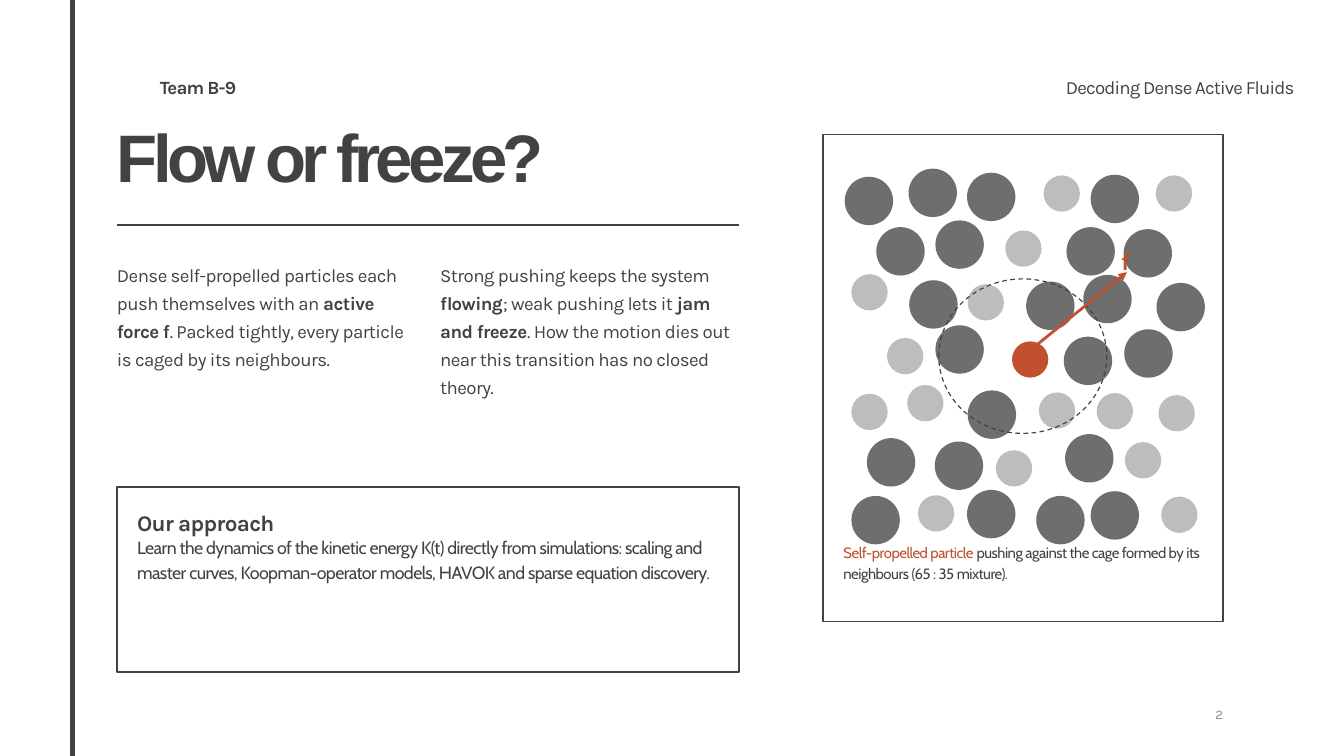
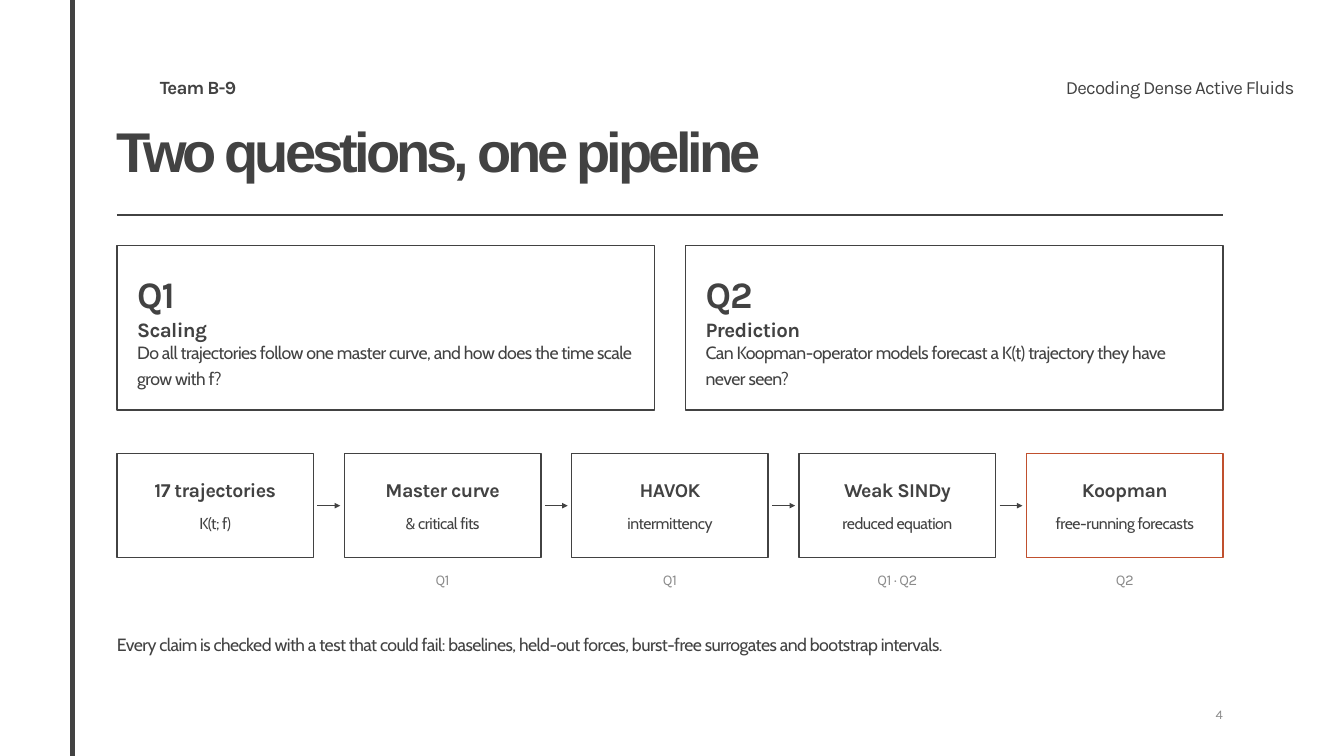
from dataclasses import dataclass, replace
from typing import Any, NamedTuple

from pptx import Presentation
from pptx.dml.color import RGBColor
from pptx.enum.dml import MSO_LINE
from pptx.enum.shapes import MSO_CONNECTOR, MSO_SHAPE
from pptx.enum.text import MSO_ANCHOR, MSO_AUTO_SIZE, PP_ALIGN
from pptx.oxml.ns import qn
from pptx.util import Emu, Inches, Pt

INK = RGBColor(0x42, 0x42, 0x42)
MUTED = RGBColor(0x8A, 0x8A, 0x8A)
ACCENT = RGBColor(0xC0, 0x50, 0x2E)
DARK_GRAIN = RGBColor(0x6E, 0x6E, 0x6E)
PALE_GRAIN = RGBColor(0xBD, 0xBD, 0xBD)

LEFT, CENTER, RIGHT = PP_ALIGN.LEFT, PP_ALIGN.CENTER, PP_ALIGN.RIGHT
RECT, OVAL = MSO_SHAPE.RECTANGLE, MSO_SHAPE.OVAL
STRAIGHT, DASH = MSO_CONNECTOR.STRAIGHT, MSO_LINE.DASH
FRAME = {
    "word_wrap": True,
    "auto_size": MSO_AUTO_SIZE.SHAPE_TO_FIT_TEXT,
    "vertical_anchor": MSO_ANCHOR.TOP,
    "margin_left": 0,
    "margin_right": 0,
    "margin_top": 0,
    "margin_bottom": 0,
}

SLIDE_W, SLIDE_H = Inches(20), Inches(11.25)
COLS, ROWS = 20, 11.25
COL, ROW = SLIDE_W / COLS, SLIDE_H / ROWS
START, END = 1.74, 18.2
GAP = 0.46
PAD = 0.3


class Box(NamedTuple):
    x: float
    y: float
    w: float
    h: float

    def emu(self) -> tuple[Emu, Emu, Emu, Emu]:
        return (Emu(round(self.x * COL)), Emu(round(self.y * ROW)),
                Emu(round(self.w * COL)), Emu(round(self.h * ROW)))


@dataclass(frozen=True)
class Style:
    size: float
    name: str = "Karla"
    color: RGBColor = INK
    bold: bool = False
    align: Any = LEFT
    leading: Any = 1.25
    tracking: float = -0.03


class Run(NamedTuple):
    text: str
    style: Style


class Question(NamedTuple):
    label: str
    topic: str
    text: str


class Stage(NamedTuple):
    name: str
    detail: str
    answers: str = ""
    color: RGBColor = INK


TITLE = Style(72, "Arial", bold=True, leading=0.9, tracking=-0.07)
HEADER = Style(20, leading=Pt(28), tracking=-0.045)
TEAM = replace(HEADER, bold=True)
TOPIC = replace(HEADER, align=RIGHT)
PAGE = Style(14, color=MUTED, align=RIGHT)
BODY = Style(20)
STRONG = replace(BODY, bold=True)
APPROACH = Style(24, bold=True)
CARD_TEXT = Style(19, "Cabin", leading=1.2)
CLOSING = replace(CARD_TEXT, leading=1.25)
CAPTION = Style(16, "Cabin", leading=1.15)
FORCE = Style(26, color=ACCENT, bold=True)
QUESTION = Style(40, bold=True)
SUBJECT = Style(22, bold=True)
STAGE = Style(21, bold=True, align=CENTER)
DETAIL = Style(17, "Cabin", align=CENTER)
ANSWERS = Style(16, color=MUTED, align=CENTER)

LARGE, SMALL = 0.72, 0.54
LARGE_GRAINS = [
    (12.57, 2.63), (13.52, 2.51), (14.39, 2.57), (16.23, 2.6),
    (13.04, 3.38), (13.92, 3.28), (15.87, 3.38), (16.72, 3.41),
    (13.53, 4.17), (15.27, 4.19), (16.12, 4.09), (17.21, 4.21),
    (13.92, 4.84), (15.83, 5.01), (16.73, 4.9), (14.4, 5.81),
    (12.9, 6.52), (13.91, 6.57), (15.85, 6.46),
    (12.67, 7.38), (14.39, 7.29), (15.42, 7.38), (16.23, 7.31),
]
SMALL_GRAINS = [
    (15.53, 2.61), (17.2, 2.61), (14.96, 3.43), (12.67, 4.08),
    (14.4, 4.23), (13.2, 5.03), (12.67, 5.86), (13.5, 5.73),
    (15.46, 5.84), (16.32, 5.85), (17.24, 5.88), (14.82, 6.7),
    (16.74, 6.58), (13.66, 7.37), (17.28, 7.39),
]
PUSHED_GRAIN = [(15.06, 5.08)]

QUESTIONS = [
    Question("Q1", "Scaling", "Do all trajectories follow one master curve, "
             "and how does the time scale grow with f?"),
    Question("Q2", "Prediction", "Can Koopman-operator models forecast a K(t) "
             "trajectory they have never seen?"),
]
STAGES = [
    Stage("17 trajectories", "K(t; f)"),
    Stage("Master curve", "& critical fits", "Q1"),
    Stage("HAVOK", "intermittency", "Q1"),
    Stage("Weak SINDy", "reduced equation", "Q1 · Q2"),
    Stage("Koopman", "free-running forecasts", "Q2", ACCENT),
]


def put(target: Any, values: dict[str, Any]) -> None:
    for key, value in values.items():
        setattr(target, key, value)


def write(sp: Any, *runs: Run) -> None:
    tf = sp.text_frame
    put(tf, FRAME)
    p = tf.paragraphs[0]
    put(p, {"alignment": runs[0].style.align, "line_spacing": runs[0].style.leading})
    for text, style in runs:
        r = p.add_run()
        r.text = text
        put(r.font, {"name": style.name, "size": Pt(style.size), "bold": style.bold})
        r.font.color.rgb = style.color
        r.font._element.set("spc", str(round(style.size * style.tracking * 100)))


def add_text(s: Any, box: Box, *runs: Run) -> None:
    write(s.shapes.add_textbox(*box.emu()), *runs)


def outline(s: Any, kind: Any, box: Box, color: RGBColor = INK,
            width: float = 1.5, dash: Any = None) -> None:
    sp = s.shapes.add_shape(kind, *box.emu())
    sp.shadow.inherit = False
    sp.fill.background()
    sp.line.color.rgb = color
    put(sp.line, {"width": Pt(width), "dash_style": dash})


def add_line(s: Any, x1: float, y1: float, x2: float, y2: float,
             color: RGBColor = INK, width: float = 1.5, arrow: bool = False) -> None:
    begin, end = Box(x1, y1, 0, 0).emu(), Box(x2, y2, 0, 0).emu()
    sp = s.shapes.add_connector(STRAIGHT, *begin[:2], *end[:2])
    sp.line.color.rgb = color
    sp.line.width = Pt(width)
    spPr = sp._element.spPr
    if arrow:
        tail = spPr.find(qn("a:ln")).makeelement(qn("a:tailEnd"), {"type": "triangle"})
        spPr.find(qn("a:ln")).append(tail)
    spPr.append(spPr.makeelement(qn("a:effectLst"), {}))


def add_grains(s: Any, places: list[tuple[float, float]], size: float,
               color: RGBColor) -> None:
    for x, y in places:
        sp = s.shapes.add_shape(OVAL, *Box(x, y, size, size).emu())
        sp.shadow.inherit = False
        sp.fill.solid()
        sp.fill.fore_color.rgb = color
        sp.line.fill.background()


def columns(count: int) -> tuple[float, list[float]]:
    width = (END - START - GAP * (count - 1)) / count
    return width, [START + i * (width + GAP) for i in range(count)]


def add_slide(prs: Any, title: str, size: float, page: str,
              rule_y: float, rule_end: float) -> Any:
    s = prs.slides.add_slide(prs.slide_layouts[5])
    sp = s.shapes.title
    put(sp, dict(zip(("left", "top", "width", "height"),
                     Box(START, 1.85, 16.4, 1.2).emu())))
    write(sp, Run(title, replace(TITLE, size=size)))
    add_line(s, 1.08, 0, 1.08, ROWS, width=6)
    add_text(s, Box(2.38, 1.07, 3.95, 0.38), Run("Team B-9", TEAM))
    add_text(s, Box(14.43, 1.07, 4.83, 0.38),
             Run("Decoding Dense Active Fluids", TOPIC))
    add_text(s, Box(17.2, 10.45, 1, 0.35), Run(page, PAGE))
    add_line(s, START, rule_y, rule_end, rule_y)
    return s


def build_flow(prs: Any) -> None:
    s = add_slide(prs, "Flow or freeze?", 72, "2", 3.35, 11)
    add_text(s, Box(START, 3.85, 4.4, 3.6),
             Run("Dense self-propelled particles each push themselves with an ", BODY),
             Run("active force f", STRONG),
             Run(". Packed tightly, every particle is caged by its neighbours.", BODY))
    add_text(s, Box(6.55, 3.85, 4.45, 3.6),
             Run("Strong pushing keeps the system ", BODY),
             Run("flowing", STRONG),
             Run("; weak pushing lets it ", BODY),
             Run("jam and freeze", STRONG),
             Run(". How the motion dies out near this transition "
                 "has no closed theory.", BODY))

    card = Box(START, 7.25, 9.26, 2.75)
    outline(s, RECT, card)
    inner = card.w - 2 * PAD
    add_text(s, Box(START + PAD, card.y + 0.22, inner, 0.6),
             Run("Our approach", APPROACH))
    add_text(s, Box(START + PAD, card.y + 0.67, inner, 1.93),
             Run("Learn the dynamics of the kinetic energy K(t) directly from "
                 "simulations: scaling and master curves, Koopman-operator models, "
                 "HAVOK and sparse equation discovery.", CARD_TEXT))

    panel = Box(12.25, 2, 5.95, 7.25)
    outline(s, RECT, panel)
    add_grains(s, LARGE_GRAINS, LARGE, DARK_GRAIN)
    add_grains(s, SMALL_GRAINS, SMALL, PALE_GRAIN)
    add_grains(s, PUSHED_GRAIN, SMALL, ACCENT)
    outline(s, OVAL, Box(13.97, 4.15, 2.5, 2.3), width=1.25, dash=DASH)
    add_line(s, 15.22, 5.3, 16.77, 4.05, ACCENT, 3, arrow=True)
    add_text(s, Box(16.68, 3.55, 0.6, 0.5), Run("f", FORCE))
    add_text(s, Box(panel.x + PAD, 8.05, panel.w - 2 * PAD, 1.1),
             Run("Self-propelled particle", replace(CAPTION, color=ACCENT)),
             Run(" pushing against the cage formed by its neighbours "
                 "(65 : 35 mixture).", CAPTION))


def build_pipeline(prs: Any) -> None:
    s = add_slide(prs, "Two questions, one pipeline", 60, "4", 3.2, END)
    width, lefts = columns(len(QUESTIONS))
    top = 3.65
    for x, question in zip(lefts, QUESTIONS):
        outline(s, RECT, Box(x, top, width, 2.45))
        lines = [(0.22, 0.7, QUESTION), (0.97, 0.6, SUBJECT), (1.38, 0.92, CARD_TEXT)]
        for text, (dy, h, style) in zip(question, lines):
            add_text(s, Box(x + PAD, top + dy, width - 2 * PAD, h), Run(text, style))

    width, lefts = columns(len(STAGES))
    top, height, inset, clear = 6.75, 1.55, 0.15, 0.06
    for x, stage in zip(lefts, STAGES):
        outline(s, RECT, Box(x, top, width, height), stage.color)
        inner = width - 2 * inset
        add_text(s, Box(x + inset, top + 0.28, inner, 0.5), Run(stage.name, STAGE))
        add_text(s, Box(x + inset, top + 0.82, inner, 0.5), Run(stage.detail, DETAIL))
        if stage.answers:
            add_text(s, Box(x, top + 1.68, width, 0.4), Run(stage.answers, ANSWERS))
    middle = top + height / 2
    for x in lefts[1:]:
        add_line(s, x - GAP + clear, middle, x - clear, middle, arrow=True)
    add_text(s, Box(START, 9.35, 16.4, 0.6),
             Run("Every claim is checked with a test that could fail: baselines, "
                 "held-out forces, burst-free surrogates and bootstrap intervals.",
                 CLOSING))


def main() -> None:
    prs = Presentation()
    put(prs, {"slide_width": SLIDE_W, "slide_height": SLIDE_H})
    build_flow(prs)
    build_pipeline(prs)
    prs.save("out.pptx")


if __name__ == "__main__":
    main()
